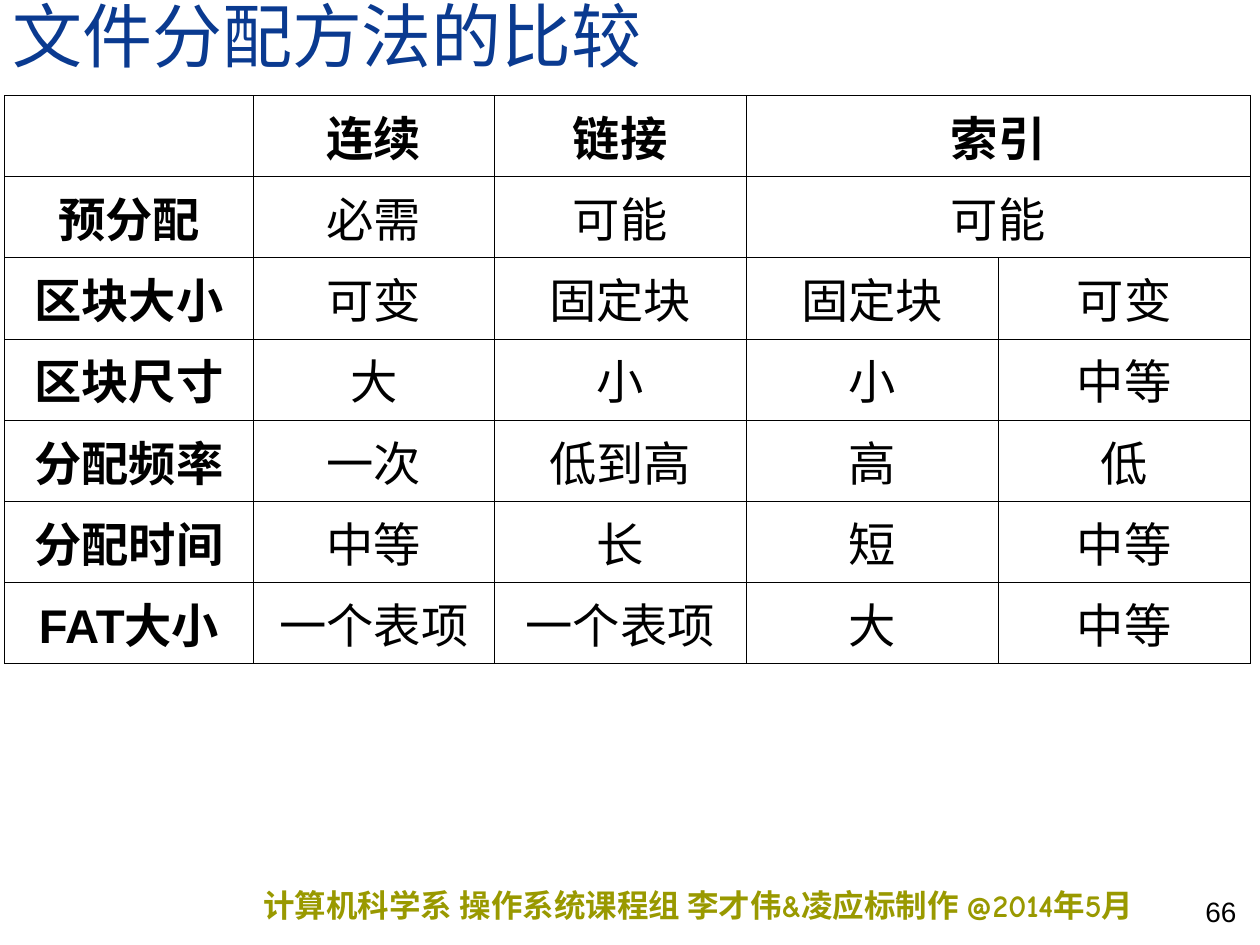
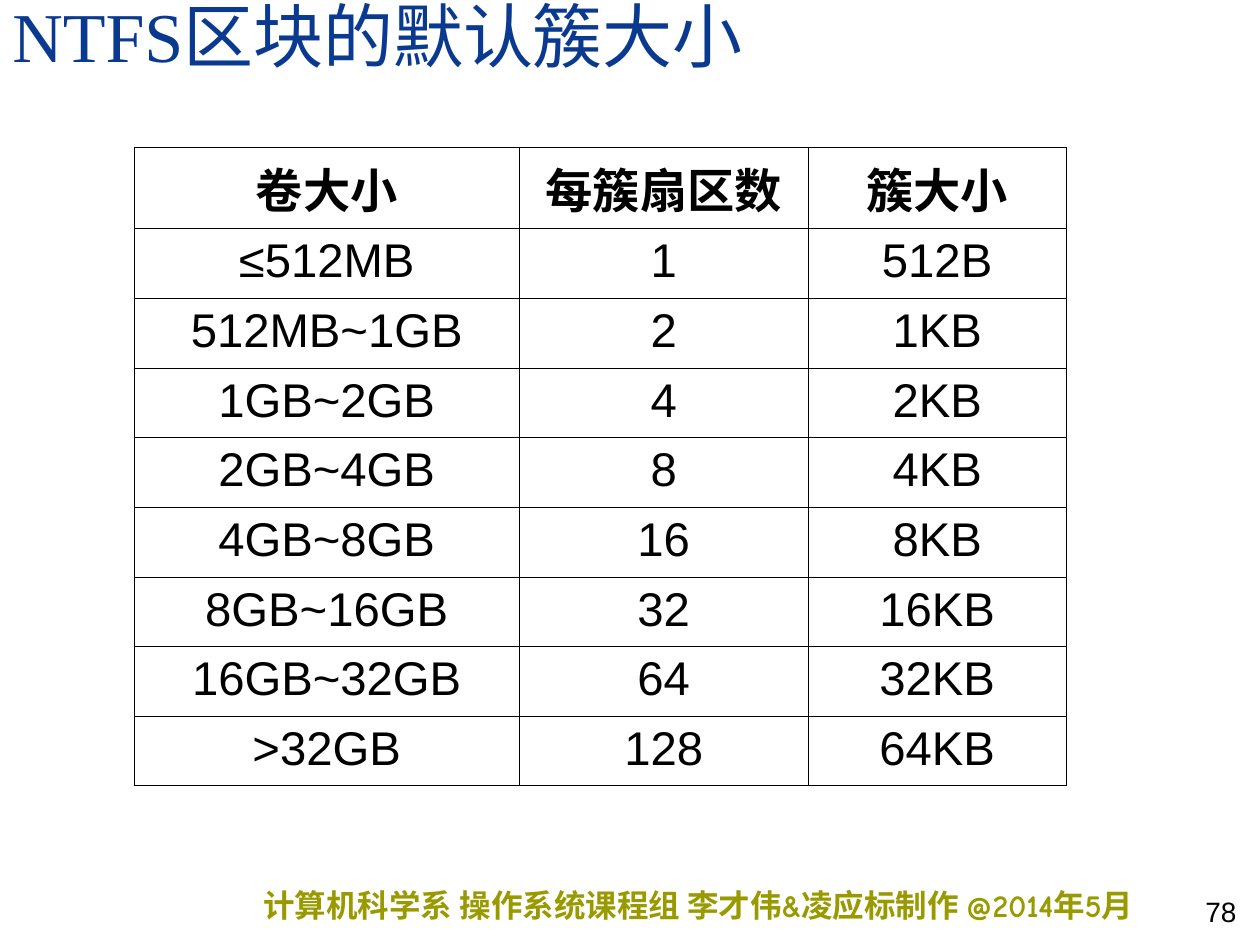
from dataclasses import dataclass
from typing import Optional

from lxml import etree
from pptx import Presentation
from pptx.dml.color import RGBColor
from pptx.enum.text import MSO_ANCHOR, MSO_AUTO_SIZE, PP_ALIGN
from pptx.oxml.ns import qn
from pptx.util import Pt

LEFT, CENTER, RIGHT = PP_ALIGN.LEFT, PP_ALIGN.CENTER, PP_ALIGN.RIGHT
TOP, BOTTOM = MSO_ANCHOR.TOP, MSO_ANCHOR.BOTTOM
FIXED_SIZE = MSO_AUTO_SIZE.NONE

COLORS = {"title": "0A3A90", "footer": "999900", "ink": "000000"}
ROW_HEIGHT = 39.8
BORDER_WIDTH = 0.45
BLANK_LAYOUT = 6


@dataclass(frozen=True)
class TextStyle:
    font: str
    size: float
    color: str
    bold: bool = False
    align: PP_ALIGN = LEFT
    line_spacing: Optional[float] = None


@dataclass(frozen=True)
class Label:
    left: float
    top: float
    width: float
    height: float
    style: TextStyle
    anchor: MSO_ANCHOR = BOTTOM
    side_margin: float = 7.2


@dataclass(frozen=True)
class Grid:
    left: float
    top: float
    widths: list[float]
    rows: list[list[Optional[str]]]  # None continues the cell to its left
    side_margin: float
    bold_first_column: bool = False


@dataclass(frozen=True)
class TablePage:
    title: str
    number: int
    grid: Grid


# Shared parts of every page
TITLE = Label(0, 0, 720, 46.8,
              TextStyle("Times New Roman", 40, "title", line_spacing=0.8))
FOOTER = Label(150.5, 502.6, 527, 28.8,
               TextStyle("Comic Neue", 18, "footer", bold=True), TOP, 0)
NUMBER = Label(599.8, 498.2, 113.8, 36,
               TextStyle("Arial", 16, "ink", align=RIGHT))
FOOTER_TEXT = "计算机科学系 操作系统课程组 李才伟&凌应标制作 @2014年5月"
HEAD_CELL = TextStyle("Arial", 27, "ink", bold=True, align=CENTER)
BODY_CELL = TextStyle("Arial", 27, "ink", align=CENTER)

# Page contents
VOLUMES = ["≤512MB", "512MB~1GB", "1GB~2GB", "2GB~4GB", "4GB~8GB",
           "8GB~16GB", "16GB~32GB", ">32GB"]
CLUSTERS = ["512B"] + [f"{2 ** power}KB" for power in range(7)]

PAGES = [
    TablePage("文件分配方法的比较", 66, Grid(
        2.6, 54.6, [142.2, 137.6, 144, 144, 144],
        [["", "连续", "链接", "索引", None],
         ["预分配", "必需", "可能", "可能", None],
         ["区块大小", "可变", "固定块", "固定块", "可变"],
         ["区块尺寸", "大", "小", "小", "中等"],
         ["分配频率", "一次", "低到高", "高", "低"],
         ["分配时间", "中等", "长", "短", "中等"],
         ["FAT大小", "一个表项", "一个表项", "大", "中等"]],
        side_margin=1.44, bold_first_column=True)),
    TablePage("NTFS区块的默认簇大小", 78, Grid(
        76.6, 84.3, [220.2, 165, 147.5],
        [["卷大小", "每簇扇区数", "簇大小"]]
        + [[volume, str(2 ** power), cluster]
           for power, (volume, cluster) in enumerate(zip(VOLUMES, CLUSTERS))],
        side_margin=7.2)),
]


def apply(target, values: dict) -> None:
    for name, value in values.items():
        setattr(target, name, value)


def write(frame, text: str, style: TextStyle) -> None:
    para = frame.paragraphs[0]
    apply(para, {"alignment": style.align, "line_spacing": style.line_spacing})
    span = para.add_run()
    span.text = text
    apply(span.font, {"name": style.font, "size": Pt(style.size),
                      "bold": style.bold})
    span.font.color.rgb = RGBColor.from_string(COLORS[style.color])


def draw_label(page, label: Label, text: str) -> None:
    box = page.shapes.add_textbox(Pt(label.left), Pt(label.top),
                                  Pt(label.width), Pt(label.height))
    apply(box.text_frame, {
        "word_wrap": True, "auto_size": FIXED_SIZE,
        "vertical_anchor": label.anchor,
        "margin_left": Pt(label.side_margin),
        "margin_right": Pt(label.side_margin),
        "margin_top": Pt(3.6), "margin_bottom": Pt(3.6)})
    write(box.text_frame, text, label.style)


def draw_borders(cell) -> None:
    properties = cell._tc.get_or_add_tcPr()
    for position, side in enumerate(("lnL", "lnR", "lnT", "lnB")):
        line = etree.Element(qn(f"a:{side}"), w=str(Pt(BORDER_WIDTH)))
        fill = etree.SubElement(line, qn("a:solidFill"))
        etree.SubElement(fill, qn("a:srgbClr"), val=COLORS["ink"])
        properties.insert(position, line)


def draw_grid(page, grid: Grid) -> None:
    frame = page.shapes.add_table(
        len(grid.rows), len(grid.widths), Pt(grid.left), Pt(grid.top),
        Pt(sum(grid.widths)), Pt(ROW_HEIGHT * len(grid.rows)))
    table = frame.table
    apply(table, {"first_row": False, "horz_banding": False})
    for column, width in zip(table.columns, grid.widths):
        column.width = Pt(width)
    for row_index, texts in enumerate(grid.rows):
        table.rows[row_index].height = Pt(ROW_HEIGHT)
        for column_index, text in enumerate(texts):
            cell = table.cell(row_index, column_index)
            apply(cell, {"margin_left": Pt(grid.side_margin),
                         "margin_right": Pt(grid.side_margin),
                         "margin_top": Pt(3.6), "margin_bottom": Pt(3.6)})
            cell.fill.background()
            draw_borders(cell)
            if text is None:
                table.cell(row_index, column_index - 1).merge(cell)
            elif text:
                is_head = row_index == 0 or (
                    grid.bold_first_column and column_index == 0)
                write(cell.text_frame, text,
                      HEAD_CELL if is_head else BODY_CELL)


def main() -> None:
    deck = Presentation()
    apply(deck, {"slide_width": Pt(720), "slide_height": Pt(540)})
    for content in PAGES:
        page = deck.slides.add_slide(deck.slide_layouts[BLANK_LAYOUT])
        draw_label(page, FOOTER, FOOTER_TEXT)
        draw_label(page, NUMBER, str(content.number))
        draw_label(page, TITLE, content.title)
        draw_grid(page, content.grid)
    deck.save("out.pptx")


if __name__ == "__main__":
    main()
